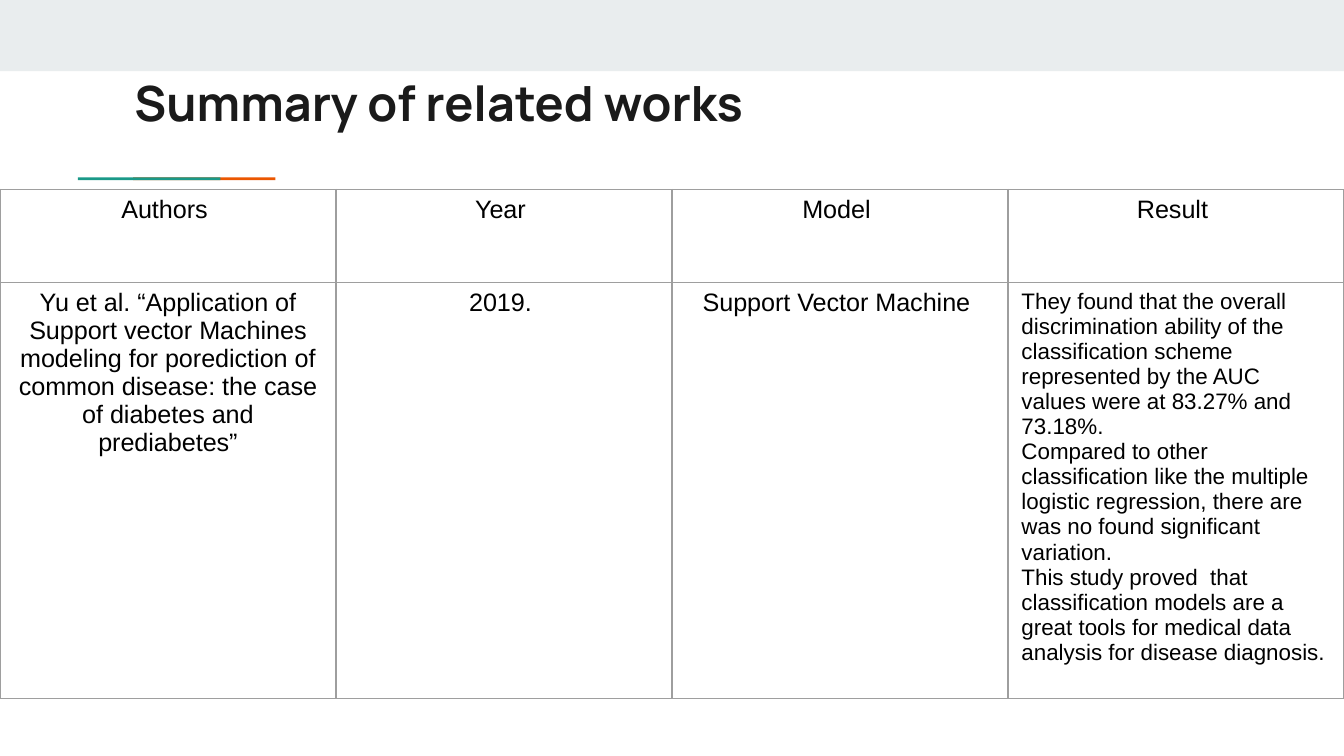
from dataclasses import dataclass
from lxml.etree import SubElement as Sub
from pptx import Presentation
from pptx.dml.color import RGBColor as RGB
from pptx.enum.shapes import MSO_SHAPE as Shape
from pptx.enum.text import MSO_ANCHOR as Anchor, MSO_AUTO_SIZE as Fit, PP_ALIGN as Align
from pptx.oxml.ns import qn
from pptx.util import Inches, Pt


@dataclass(frozen=True)
class Theme:
    band: str = "E9EDEE"
    teal: str = "1A9988"
    orange: str = "EB5600"
    ink: str = "1A1A1A"
    black: str = "000000"
    grid: str = "9E9E9E"
    head: str = "Manrope"
    body: str = "Arial"
    big: float = 26
    mid: float = 13.5
    small: float = 12
    rule: float = 0.75


class Deck:
    def __init__(self, theme):
        self.theme = theme
        self.show = Presentation()
        self.show.slide_width = Inches(10)
        self.show.slide_height = Inches(10 * 9 / 16)
        self.slide = self.show.slides.add_slide(self.show.slide_layouts[5])

    def run(self, para, text, face, size, color, bold=False):
        run = para.add_run()
        run.text = text
        font = run.font
        font.name, font.size, font.bold = face, Pt(size), bold
        font.color.rgb = RGB.from_string(color)

    def bar(self, left, top, width, height, color):
        bar = self.slide.shapes.add_shape(Shape.RECTANGLE, *map(Inches, (left, top, width, height)))
        bar.shadow.inherit = False
        bar.fill.solid()
        bar.fill.fore_color.rgb = RGB.from_string(color)
        bar.line.fill.background()

    def title(self, text, left, top, width, height):
        title = self.slide.shapes.title
        title.left, title.top = Inches(left), Inches(top)
        title.width, title.height = Inches(width), Inches(height)
        frame = title.text_frame
        frame.word_wrap, frame.auto_size = True, Fit.NONE
        frame.vertical_anchor = Anchor.BOTTOM
        para = frame.paragraphs[0]
        para.alignment, para.line_spacing = Align.LEFT, 0.85
        look = self.theme
        self.run(para, text, look.head, look.big, look.ink, True)

    def border(self, cell):
        props = cell._tc.get_or_add_tcPr()
        for side in ("lnL", "lnR", "lnT", "lnB"):
            line = Sub(props, qn(f"a:{side}"), w=str(Pt(self.theme.rule)))
            Sub(Sub(line, qn("a:solidFill")), qn("a:srgbClr"), val=self.theme.grid)

    def cell(self, cell, texts, size, align):
        self.border(cell)
        cell.fill.background()
        cell.margin_left = cell.margin_right = Inches(0.1)
        cell.margin_top = cell.margin_bottom = Inches(0.05)
        frame = cell.text_frame
        for i, text in enumerate(texts):
            para = frame.add_paragraph() if i else frame.paragraphs[0]
            para.alignment = align
            self.run(para, text, self.theme.body, size, self.theme.black)

    def table(self, rows, left, top, width, heights):
        count = len(rows[0])
        box = map(Inches, (left, top, width, sum(heights)))
        table = self.slide.shapes.add_table(len(rows), count, *box).table
        table.first_row = table.horz_banding = False
        for col in table.columns:
            col.width = Inches(width / count)
        for r, (row, height) in enumerate(zip(rows, heights)):
            table.rows[r].height = Inches(height)
            for c, texts in enumerate(row):
                long = len(texts) > 1
                size = self.theme.small if long else self.theme.mid
                self.cell(table.cell(r, c), texts, size, Align.LEFT if long else Align.CENTER)


def main():
    theme = Theme()
    deck = Deck(theme)
    deck.bar(0, 0, 10, 0.53, theme.band)
    for left, color in ((0.99, theme.orange), (0.58, theme.teal)):
        deck.bar(left, 1.32, 1.06, 0.02, color)
    deck.title("Summary of related works", 0.9, 0.24, 8.25, 0.79)
    heads = [[name] for name in ("Authors ", "Year ", "Model ", "Result ")]
    study = [
        ["Yu et al. “Application of Support vector Machines modeling for porediction of "
         "common disease: the case of diabetes and prediabetes”"],
        ["2019. "],
        ["Support Vector Machine "],
        ["They found that the overall discrimination ability of the classification scheme "
         "represented by the AUC values were at 83.27% and 73.18%.",
         "Compared to other classification like the multiple logistic regression, "
         "there are was no found significant variation.",
         "This study proved  that classification models are a great tools for medical "
         "data analysis for disease diagnosis."],
    ]
    deck.table([heads, study], 0, 1.41, 10, (0.69, 3.1))
    deck.show.save("out.pptx")


if __name__ == "__main__":
    main()
